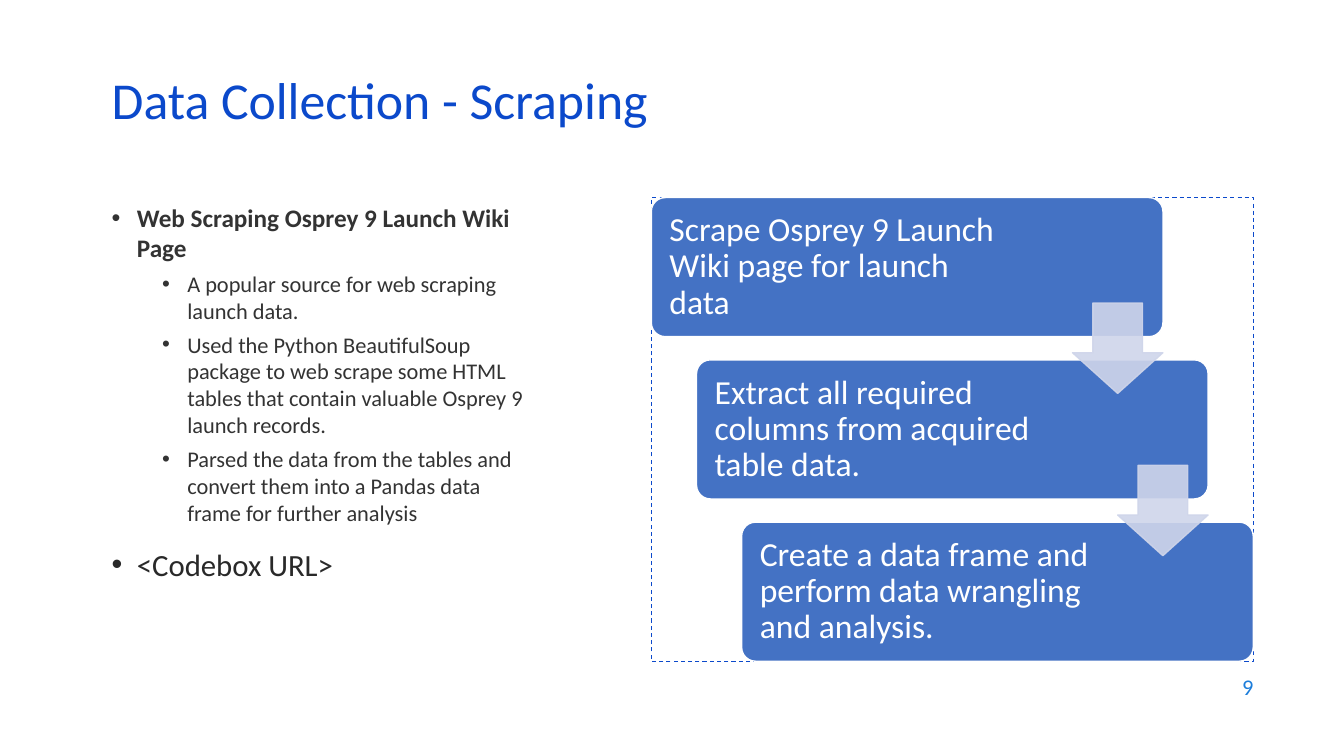
"""Build the slide on collecting launch data by scraping."""
import pptx
import pptx.dml.color
import pptx.enum.dml
import pptx.enum.shapes
import pptx.enum.text
import pptx.oxml
import pptx.oxml.ns
import pptx.util
from lxml import etree

TITLE = "Data Collection - Scraping"
PAGE = "9"
NOTES = [
    ("heading", "Web Scraping Osprey 9 Launch Wiki Page"),
    ("detail", "A popular source for web scraping launch data."),
    ("detail", "Used the Python BeautifulSoup package to web scrape some "
               "HTML tables that contain valuable Osprey 9 launch records."),
    ("detail", "Parsed the data from the tables and convert them into a Pandas "
               "data frame for further analysis"),
    ("link", "<Codebox URL>"),
]
STEPS = [
    "Scrape Osprey 9 Launch Wiki page for launch data",
    "Extract all required columns from acquired table data.",
    "Create a data frame and perform data wrangling and analysis.",
]

THEME = {
    "font": "Calibri",
    "title": {"size": 37, "color": "0B49CB"},
    "page": {"size": 16, "color": "1C7DDB"},
    "heading": {"size": 18, "color": "333333", "bold": True},
    "detail": {"size": 16, "color": "333333"},
    "link": {"size": 22, "color": "292929"},
    "step": {"size": 24, "color": "FFFFFF"},
    "card": "4472C4",
    "frame": "0B49CB",
    "arrow": "CFD5EA",
}
LAYOUT = {
    "heading": {"level": 0, "indent": 0.25, "before": 0},
    "detail": {"level": 1, "indent": 0.75, "before": 5},
    "link": {"level": 0, "indent": 0.25, "before": 14},
}
WIDTH, HEIGHT = 13.33, 7.5
LEFT, BODY_TOP = 1.01, 1.96
FRAME = (6.46, BODY_TOP, 5.97, 4.6)
CARD_SHARE = (0.85, 0.3)
ARROW_SHARE = 0.65
HANGING = 0.25

Inches, Pt = pptx.util.Inches, pptx.util.Pt
Anchor, Align = pptx.enum.text.MSO_ANCHOR, pptx.enum.text.PP_ALIGN
Preset = pptx.enum.shapes.MSO_SHAPE


def rgb(value):
    return pptx.dml.color.RGBColor.from_string(value)


def write(paragraph, text, role, **formats):
    for name, value in formats.items():
        setattr(paragraph, name, value)
    run = paragraph.add_run()
    run.text = text
    style = THEME[role]
    font = {"name": THEME["font"], "size": Pt(style["size"]),
            "bold": style.get("bold", False)}
    for name, value in font.items():
        setattr(run.font, name, value)
    run.font.color.rgb = rgb(style["color"])


def set_frame(shape, **formats):
    for name, value in {"word_wrap": True, **formats}.items():
        setattr(shape.text_frame, name, value)
    return shape.text_frame


def add_text(slide, box, **formats):
    return set_frame(slide.shapes.add_textbox(*map(Inches, box)), **formats)


def add_preset(slide, preset, box, fill, line, weight, adjustments=()):
    shape = slide.shapes.add_shape(preset, *map(Inches, box))
    shape.shadow.inherit = False
    for index, value in enumerate(adjustments):
        shape.adjustments[index] = value
    if fill:
        shape.fill.solid()
        shape.fill.fore_color.rgb = rgb(fill)
    else:
        shape.fill.background()
    shape.line.color.rgb = rgb(line)
    shape.line.width = Pt(weight)
    return shape


def add_bullet(paragraph, indent):
    properties = paragraph._p.get_or_add_pPr()
    properties.set("marL", str(Inches(indent)))
    properties.set("indent", str(-Inches(HANGING)))
    for tag, key, value in (("a:buFont", "typeface", "Arial"), ("a:buChar", "char", "•")):
        etree.SubElement(properties, pptx.oxml.ns.qn(tag)).set(key, value)


def add_notes(slide):
    body = add_text(slide, (LEFT, BODY_TOP, 4.3, 4.17))
    for index, (role, text) in enumerate(NOTES):
        paragraph = body.add_paragraph() if index else body.paragraphs[0]
        place = LAYOUT[role]
        add_bullet(paragraph, place["indent"])
        write(paragraph, text, role, level=place["level"], space_before=Pt(place["before"]))


def add_steps(slide):
    left, top, width, height = FRAME
    frame = add_preset(slide, Preset.RECTANGLE, FRAME, None, THEME["frame"], 0.75)
    frame.line.dash_style = pptx.enum.dml.MSO_LINE.DASH
    card_width, card_height = width * CARD_SHARE[0], height * CARD_SHARE[1]
    shift = (width - card_width) / (len(STEPS) - 1)
    drop = (height - card_height) / (len(STEPS) - 1)
    arrow_size = card_height * ARROW_SHARE
    corners = [(left + i * shift, top + i * drop) for i in range(len(STEPS))]
    margins = {"margin_left": 0.14, "margin_right": 1.55,
               "margin_top": 0.14, "margin_bottom": 0.14}
    for text, corner in zip(STEPS, corners):
        card = add_preset(slide, Preset.ROUNDED_RECTANGLE, (*corner, card_width, card_height),
                          THEME["card"], "FFFFFF", 1, [0.1])
        label = set_frame(card, vertical_anchor=Anchor.MIDDLE,
                          **{name: Inches(value) for name, value in margins.items()})
        write(label.paragraphs[0], text, "step", alignment=Align.LEFT, line_spacing=0.9)
    for x, y in corners[:-1]:
        box = (x + card_width - arrow_size, y + (card_height + drop - arrow_size) / 2,
               arrow_size, arrow_size)
        arrow = add_preset(slide, Preset.DOWN_ARROW, box, THEME["arrow"], THEME["arrow"],
                           1, [0.55, 0.45])
        for color in arrow._element.spPr.iter(pptx.oxml.ns.qn("a:srgbClr")):
            etree.SubElement(color, pptx.oxml.ns.qn("a:alpha")).set("val", "90000")


def main():
    deck = pptx.Presentation()
    deck.slide_width, deck.slide_height = Inches(WIDTH), Inches(HEIGHT)
    slide = deck.slides.add_slide(deck.slide_layouts[6])
    page = add_text(slide, (9.53, 6.59, 3, 0.44), vertical_anchor=Anchor.MIDDLE)
    write(page.paragraphs[0], PAGE, "page", alignment=Align.RIGHT)
    add_notes(slide)
    title = add_text(slide, (LEFT, 0.76, 11.5, 0.6), vertical_anchor=Anchor.MIDDLE)
    write(title.paragraphs[0], TITLE, "title", line_spacing=0.7)
    add_steps(slide)
    deck.save("out.pptx")


if __name__ == "__main__":
    main()
